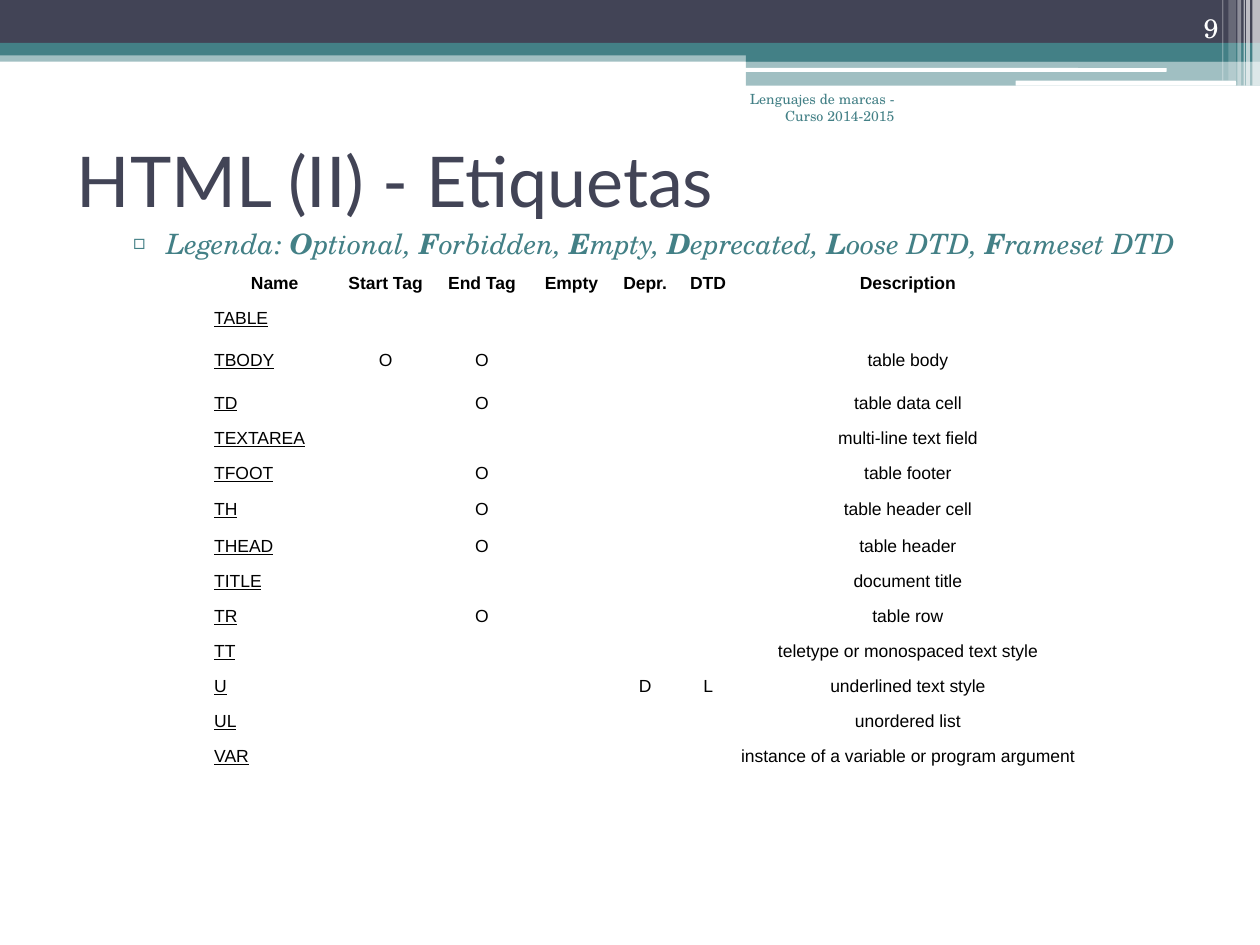
from dataclasses import dataclass
from typing import Optional

from lxml import etree
from pptx import Presentation
from pptx import util as u
from pptx.dml.color import RGBColor
from pptx.enum import shapes, text
from pptx.oxml import ns

NAVY = RGBColor(0x42, 0x44, 0x56)
TEAL = RGBColor(0x43, 0x80, 0x86)
WHITE = RGBColor(0xFF, 0xFF, 0xFF)
BLACK = RGBColor(0, 0, 0)
SERIF = "TeX Gyre Schola"
LEFT, CENTER, RIGHT = text.PP_ALIGN.LEFT, text.PP_ALIGN.CENTER, text.PP_ALIGN.RIGHT
MIDDLE, BOTTOM, TOP = text.MSO_ANCHOR.MIDDLE, text.MSO_ANCHOR.BOTTOM, text.MSO_ANCHOR.TOP


@dataclass
class Band:
    left: float
    top: float
    width: float
    height: float
    color: RGBColor
    alpha: int = 100
    rounded: bool = False


@dataclass
class Tag:
    name: str
    start: str = ""
    end: str = ""
    depr: str = ""
    dtd: str = ""
    description: str = ""
    height: float = 0.21

    def cells(self) -> list[str]:
        return [self.name, self.start, self.end, "", self.depr, self.dtd, self.description]


BANDS = [
    Band(0, 0.4, 10, 0.09, TEAL, 50),
    Band(0, 0, 10, 0.34, NAVY),
    Band(0, 0.34, 10, 0.1, TEAL),
    Band(5.92, 0.39, 4.08, 0.1, TEAL),
    Band(5.92, 0.48, 4.08, 0.2, TEAL, 50),
    Band(5.91, 0.54, 3.35, 0.03, WHITE, rounded=True),
    Band(8.06, 0.64, 1.75, 0.04, WHITE, rounded=True),
    Band(9.94, 0, 0.06, 0.68, WHITE, 65),
    Band(9.89, 0, 0.03, 0.68, WHITE, 65),
    Band(9.87, 0, 0.01, 0.68, WHITE, 60),
    Band(9.82, 0, 0.03, 0.68, WHITE, 40),
    Band(9.75, 0, 0.06, 0.64, WHITE, 20),
    Band(9.7, 0, 0.01, 0.64, WHITE, 30),
]
LEGEND = ["Optional", "Forbidden", "Empty", "Deprecated", "Loose DTD", "Frameset DTD"]
HEADERS = ["Name", "Start Tag", "End Tag", "Empty", "Depr.", "DTD", "Description"]
COLUMNS = [0.98, 0.78, 0.75, 0.67, 0.5, 0.5, 2.67]
HEADER_HEIGHT = 0.2
TAGS = [
    Tag("TABLE"),
    Tag("TBODY", "O", "O", description="table body", height=0.39),
    Tag("TD", end="O", description="table data cell"),
    Tag("TEXTAREA", description="multi-line text field"),
    Tag("TFOOT", end="O", description="table footer"),
    Tag("TH", end="O", description="table header cell", height=0.3),
    Tag("THEAD", end="O", description="table header"),
    Tag("TITLE", description="document title"),
    Tag("TR", end="O", description="table row"),
    Tag("TT", description="teletype or monospaced text style"),
    Tag("U", depr="D", dtd="L", description="underlined text style"),
    Tag("UL", description="unordered list"),
    Tag("VAR", description="instance of a variable or program argument"),
]


def write(p, words: str, *, size: float, color: RGBColor, font: str = SERIF,
          bold: bool = False, italic: bool = False, underline: bool = False,
          align: Optional[text.PP_ALIGN] = None, spacing: Optional[float] = None) -> None:
    if align is not None:
        p.alignment = align
    if spacing is not None:
        p.line_spacing = spacing
    r = p.add_run()
    r.text = words
    f = r.font
    f.name, f.size, f.color.rgb = font, u.Pt(size), color
    f.bold, f.italic, f.underline = bold, italic, underline


def place(sp, left: float, top: float, width: float, height: float,
          anchor: text.MSO_ANCHOR = TOP):
    sp.left, sp.top = u.Inches(left), u.Inches(top)
    sp.width, sp.height = u.Inches(width), u.Inches(height)
    tf = sp.text_frame
    tf.word_wrap = True
    tf.auto_size = text.MSO_AUTO_SIZE.NONE
    tf.vertical_anchor = anchor
    return tf.paragraphs[0]


def draw_band(s, band: Band) -> None:
    kind = shapes.MSO_SHAPE.ROUNDED_RECTANGLE if band.rounded else shapes.MSO_SHAPE.RECTANGLE
    box = [u.Inches(n) for n in (band.left, band.top, band.width, band.height)]
    sp = s.shapes.add_shape(kind, *box)
    sp.shadow.inherit = False
    sp.line.fill.background()
    sp.fill.solid()
    sp.fill.fore_color.rgb = band.color
    if band.alpha < 100:
        color = sp.fill._xPr.find(".//" + ns.qn("a:srgbClr"))
        etree.SubElement(color, ns.qn("a:alpha"), val=str(band.alpha * 1000))


def draw_legend(body) -> None:
    p = place(body, 0.5, 1.75, 9, 0.5)
    body.text_frame.margin_right = 0
    p.level = 1
    p.space_before = u.Pt(0)
    pPr = p._p.get_or_add_pPr()
    pPr.set("marL", str(u.Inches(0.72)))
    pPr.set("indent", str(u.Inches(-0.27)))
    bullet_color = etree.SubElement(pPr, ns.qn("a:buClr"))
    etree.SubElement(bullet_color, ns.qn("a:srgbClr"), val=str(TEAL))
    etree.SubElement(pPr, ns.qn("a:buFont"), typeface=SERIF)
    etree.SubElement(pPr, ns.qn("a:buChar"), char="▫")
    style = dict(size=16, color=TEAL, italic=True)
    write(p, "Legenda: ", **style)
    for term in LEGEND:
        write(p, term[0], bold=True, **style)
        write(p, term[1:] + ("" if term == LEGEND[-1] else ", "), **style)


def draw_cell(cell, words: str, header: bool, name: bool) -> None:
    cell.fill.background()
    cell.vertical_anchor = MIDDLE
    cell.margin_left = cell.margin_right = u.Inches(0.01)
    cell.margin_top = cell.margin_bottom = u.Inches(0.05)
    p = cell.text_frame.paragraphs[0]
    if words:
        write(p, words, size=10, color=BLACK, font="Arial", bold=header,
              underline=name, align=LEFT if name else CENTER, spacing=1.15)
    else:
        etree.SubElement(p._p, ns.qn("a:endParaRPr"), sz="1000")


def draw_table(s) -> None:
    rows = [HEADERS] + [tag.cells() for tag in TAGS]
    heights = [HEADER_HEIGHT] + [tag.height for tag in TAGS]
    table = s.shapes.add_table(len(rows), len(COLUMNS), u.Inches(1.69), u.Inches(2.1),
                               u.Inches(sum(COLUMNS)), u.Inches(sum(heights))).table
    table.first_row = table.horz_banding = False
    for column, width in zip(table.columns, COLUMNS):
        column.width = u.Inches(width)
    for i, (row, height) in enumerate(zip(rows, heights)):
        table.rows[i].height = u.Inches(height)
        for j, words in enumerate(row):
            draw_cell(table.cell(i, j), words, header=i == 0, name=i > 0 and j == 0)


def main() -> None:
    prs = Presentation()
    prs.slide_width, prs.slide_height = u.Inches(10), u.Inches(7.5)
    s = prs.slides.add_slide(prs.slide_layouts[1])
    for band in BANDS:
        draw_band(s, band)
    title = place(s.shapes.title, 0.51, 0.99, 9, 0.87, MIDDLE)
    write(title, "HTML (II) - Etiquetas", size=40, color=NAVY, font="Lato", align=LEFT)
    draw_legend(s.placeholders[1])
    number = place(s.shapes.add_textbox(0, 0, 0, 0), 8.94, 0, 0.83, 0.4, BOTTOM)
    write(number, "9", size=15.3, color=WHITE, align=RIGHT, spacing=0.9)
    footer = place(s.shapes.add_textbox(0, 0, 0, 0), 5.75, 0.67, 1.45, 0.5)
    write(footer, "Lenguajes de marcas - Curso 2014-2015", size=8, color=TEAL, align=RIGHT)
    draw_table(s)
    prs.save("out.pptx")


if __name__ == "__main__":
    main()
